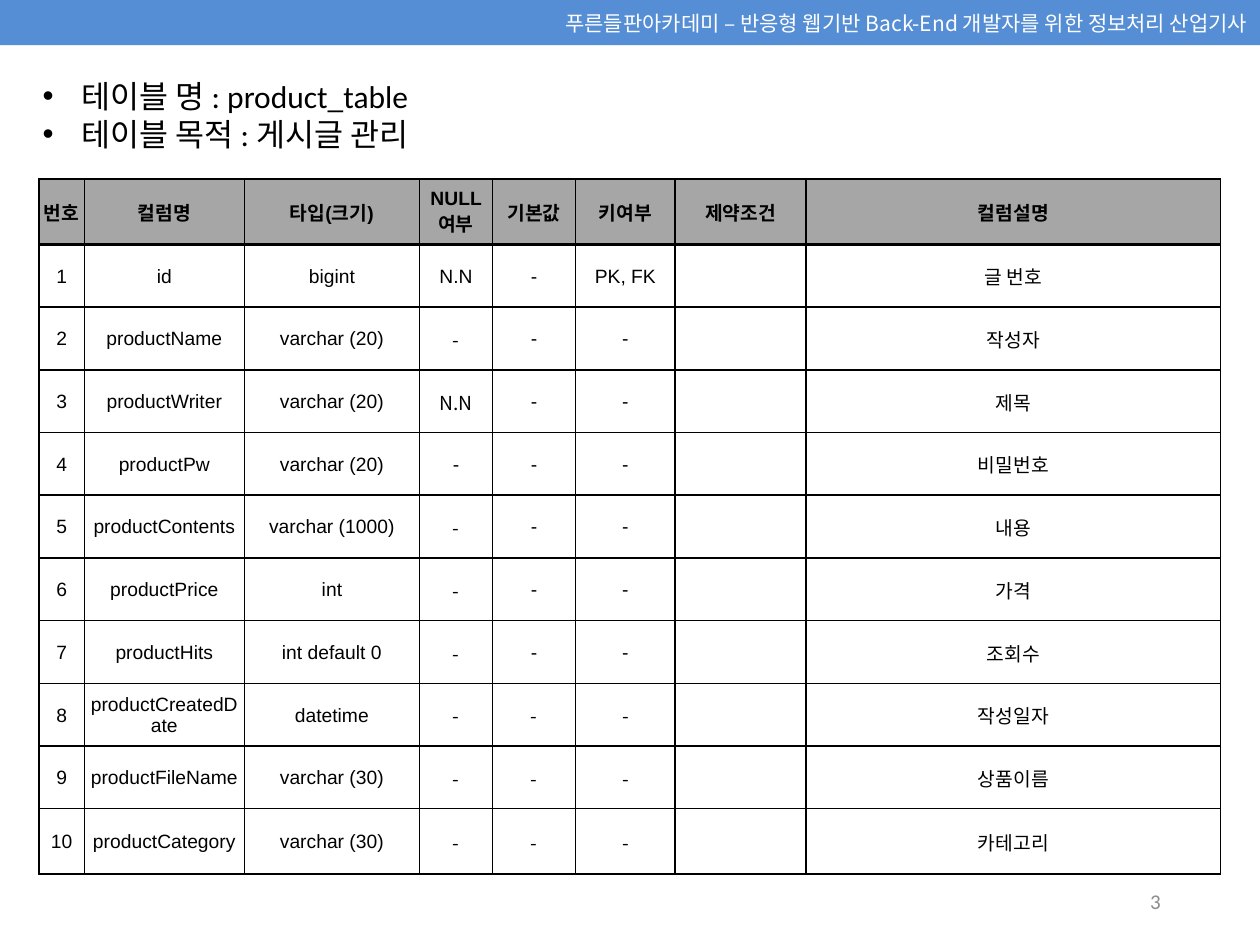
import pptx
import pptx.dml.color
import pptx.enum.shapes
import pptx.enum.text
import pptx.oxml
import pptx.oxml.ns
import pptx.util

ALIGN = pptx.enum.text.PP_ALIGN
MID = pptx.enum.text.MSO_ANCHOR.MIDDLE
NOTO = "Noto Sans CJK KR"
BLACK = "000000"
COLS, ROWS = 100, 75  # slide grid
UNIT = pptx.util.Inches(10) // COLS

HEADS = ["번호", "컬럼명", "타입(크기)", "NULL 여부", "기본값", "키여부", "제약조건", "컬럼설명"]
WIDTHS = [3.6, 12.7, 13.9, 5.8, 6.6, 7.9, 10.4, 32.9]
EDGE = 5.2  # height of the first and last table rows
# name, type, null, key, meaning, columns set in Noto
FIELDS = [
    ("id", "bigint", "N.N", "PK, FK", "글 번호", ()),
    ("productName", "varchar (20)", "-", "-", "작성자", (3,)),
    ("productWriter", "varchar (20)", "N.N", "-", "제목", (3,)),
    ("productPw", "varchar (20)", "-", "-", "비밀번호", ()),
    ("productContents", "varchar (1000)", "-", "-", "내용", (3,)),
    ("productPrice", "int", "-", "-", "가격", (3,)),
    ("productHits", "int default 0", "-", "-", "조회수", (3,)),
    ("productCreatedDate", "datetime", "-", "-", "작성일자", (3, 4, 5)),
    ("productFileName", "varchar (30)", "-", "-", "상품이름", (3, 4, 5)),
    ("productCategory", "varchar (30)", "-", "-", "카테고리", (3, 4, 5)),
]


def grid(*cells):
    return [round(c * UNIT) for c in cells]


def color(code):
    return pptx.dml.color.RGBColor.from_string(code)


def xml(tag, body="", **attrs):
    """Make one DrawingML element."""
    ns = pptx.oxml.ns.nsdecls("a")
    text = " ".join(f'{k}="{v}"' for k, v in attrs.items())
    return pptx.oxml.parse_xml(f"<a:{tag} {ns} {text}>{body}</a:{tag}>")


def style(para, size, face, code=BLACK, align=ALIGN.LEFT, bold=False):
    para.alignment = align
    font = para.font
    font.size, font.name, font.bold = pptx.util.Pt(size), face, bold
    font.color.rgb = color(code)


def banner(slide, box, text):
    bar = slide.shapes.add_shape(pptx.enum.shapes.MSO_SHAPE.RECTANGLE, *grid(*box))
    bar.shadow.inherit = False
    bar.fill.solid()
    bar.fill.fore_color.rgb = color("558ED5")
    bar.line.fill.background()
    frame = bar.text_frame
    frame.text, frame.vertical_anchor = text, MID
    style(frame.paragraphs[0], 12, NOTO, "FFFFFF", ALIGN.RIGHT)


def summary(slide, box, lines):
    frame = slide.shapes.add_textbox(*grid(*box)).text_frame
    frame.word_wrap = True
    frame.auto_size = pptx.enum.text.MSO_AUTO_SIZE.SHAPE_TO_FIT_TEXT
    frame.text = "\n".join(lines)
    dent = pptx.util.Inches(0.31)
    for para in frame.paragraphs:
        style(para, 18, "Calibri")
        props = para._p.get_or_add_pPr()
        props.set("marL", str(dent))
        props.set("indent", str(-dent))
        props.insert(0, xml("buFont", typeface="Arial"))
        props.insert(1, xml("buChar", char="•"))


def number(slide, box, text):
    frame = slide.shapes.add_textbox(*grid(*box)).text_frame
    frame.word_wrap = True
    frame.text, frame.vertical_anchor = text, MID
    style(frame.paragraphs[0], 12, "Calibri", "8C8C8C", ALIGN.RIGHT)


def border(cell, top, bottom):
    props = cell._tc.get_or_add_tcPr()
    fill = f'<a:solidFill><a:srgbClr val="{BLACK}"/></a:solidFill>'
    for side, width in zip("LRTB", (1, 1, top, bottom)):
        props.append(xml("ln" + side, fill, w=pptx.util.Pt(width)))


def schema(slide, box):
    """Draw the column list: a grey head row and one row per field."""
    data = [HEADS]
    for i, (name, kind, null, key, note, _) in enumerate(FIELDS, 1):
        data.append([str(i), name, kind, null, "-", key, "", note])
    last = len(data) - 1
    table = slide.shapes.add_table(len(data), len(HEADS), *grid(*box)).table
    table.horz_banding = False
    for col, width in zip(table.columns, WIDTHS):
        col.width = grid(width)[0]
    inner = (box[3] - 2 * EDGE) / (last - 1)
    for r, row in enumerate(data):
        table.rows[r].height = grid(EDGE if r in (0, last) else inner)[0]
        for c, text in enumerate(row):
            cell = table.cell(r, c)
            border(cell, 2 if r == 1 else 1, 2 if r == 0 else 1)
            if r == 0:
                cell.fill.solid()
                cell.fill.fore_color.rgb = color("A6A6A6")
            else:
                cell.fill.background()
            cell.vertical_anchor = MID
            cell.margin_left = cell.margin_right = cell.margin_top = pptx.util.Inches(0.01)
            cell.margin_bottom = 0
            cell.text = text
            noto = r > 0 and c in FIELDS[r - 1][-1]
            style(cell.text_frame.paragraphs[0], 11, NOTO if noto else "Arial",
                  align=ALIGN.CENTER, bold=r == 0)


def main():
    deck = pptx.Presentation()
    deck.slide_width, deck.slide_height = grid(COLS, ROWS)
    slide = deck.slides.add_slide(deck.slide_layouts[6])
    banner(slide, (0, 0, COLS, 3.6),
           "푸른들판아카데미 – 반응형 웹기반 Back-End 개발자를 위한 정보처리 산업기사")
    number(slide, (70.6, 69.5, 22.5, 4), "3")
    summary(slide, (2.4, 5.6, 94.9, 6.9),
            ["테이블 명 : product_table", "테이블 목적 : 게시글 관리"])
    schema(slide, (3.1, 14.2, 93.8, 55.2))
    deck.save("out.pptx")


if __name__ == "__main__":
    main()
